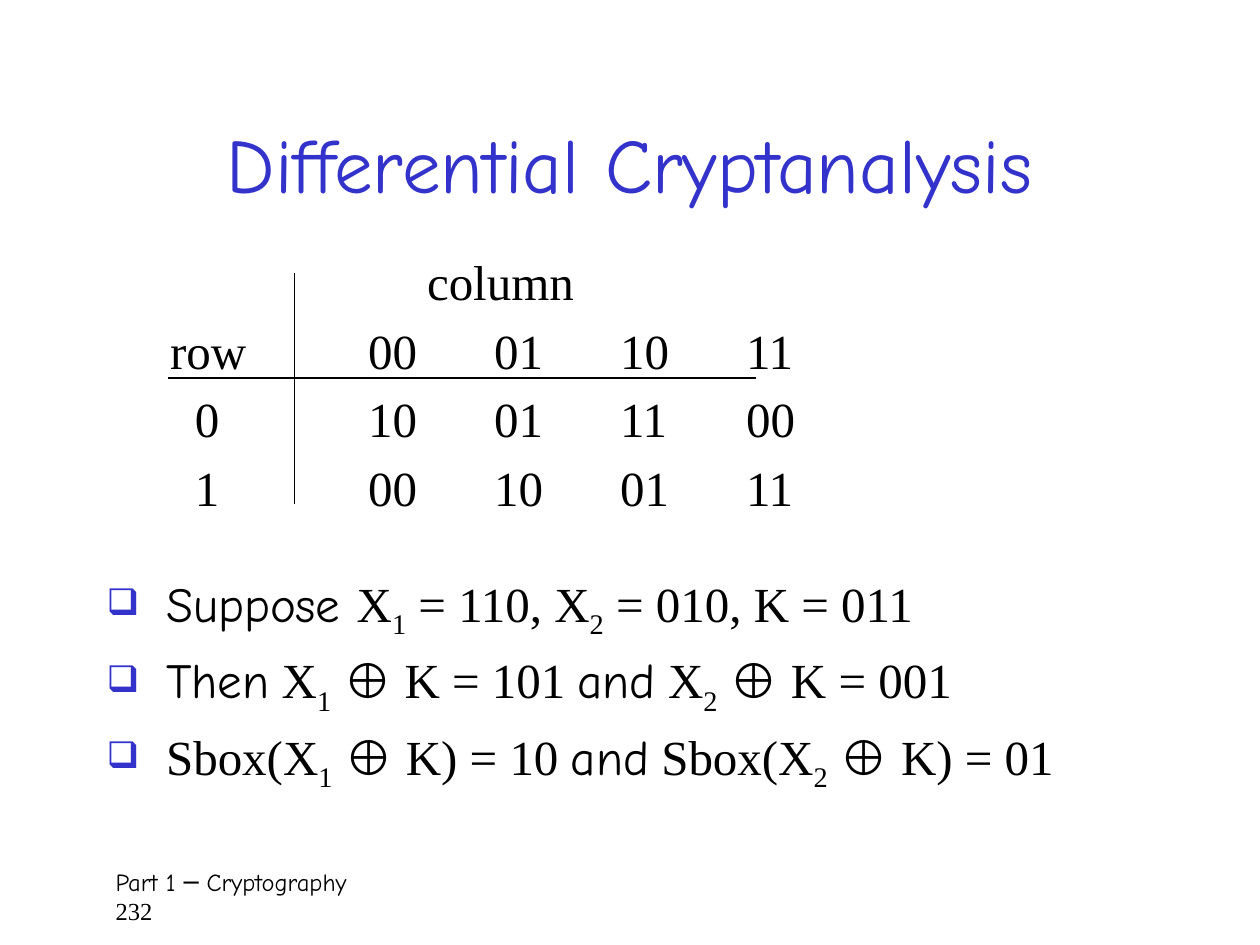
from lxml import etree
from pptx import Presentation, util as u
from pptx.enum import shapes, text
from pptx.dml.color import RGBColor
from pptx.oxml import ns

COLORS = {"ink": "000000", "accent": "3333CC"}
SERIF, HAND = "Times New Roman", "Comic Neue"
PLAIN_TABLE_STYLE = "{2D5ABB26-0587-4C30-8999-92F81FD0307C}"


def add_span(para, wording, font=SERIF, size=28, color="ink", baseline=0):
    span = para.add_run()
    span.text = wording
    span.font.name = font
    span.font.size = u.Pt(size)
    span.font.color.rgb = RGBColor.from_string(COLORS[color])
    if baseline:
        span.font._element.set("baseline", str(baseline * 1000))
    return span


def add_child(parent, tag, **attributes):
    return etree.SubElement(parent, ns.qn(tag), attributes)


class SlideWriter:
    """Holds the current slide and the shared paragraph style."""

    space_before = u.Pt(5.6)
    bullet_indent = u.Cm(1.2)

    def __init__(self, page):
        self.page = page

    def frame(self, left, top, width, height, anchor=text.MSO_ANCHOR.TOP):
        box = self.page.shapes.add_textbox(*map(u.Cm, (left, top, width, height)))
        box.text_frame.word_wrap = True
        box.text_frame.vertical_anchor = anchor
        return box.text_frame

    def title(self, wording, *place):
        para = self.frame(*place, anchor=text.MSO_ANCHOR.MIDDLE).paragraphs[0]
        para.alignment = text.PP_ALIGN.CENTER
        add_span(para, wording, font=HAND, size=44, color="accent")

    def lookup_table(self, rows, left, top, widths, row_height):
        """Draw (left margin of first filled cell, cells) rows without borders."""
        grid = self.page.shapes.add_table(
            len(rows), len(widths), u.Cm(left), u.Cm(top),
            u.Cm(sum(widths)), u.Cm(row_height * len(rows))).table
        grid.first_row = grid.horz_banding = False
        grid._tbl.tblPr.find(ns.qn("a:tableStyleId")).text = PLAIN_TABLE_STYLE
        for column, width in zip(grid.columns, widths):
            column.width = u.Cm(width)
        for r, (indent, wordings) in enumerate(rows):
            grid.rows[r].height = u.Cm(row_height)
            first = next(c for c, wording in enumerate(wordings) if wording)
            for c, wording in enumerate(wordings):
                cell = grid.cell(r, c)
                cell.fill.background()
                cell.margin_left = u.Cm(indent if c == first else 0)
                cell.margin_right = cell.margin_top = cell.margin_bottom = 0
                add_span(cell.text_frame.paragraphs[0], wording)
        return grid

    def bullets(self, items, *place):
        frame = self.frame(*place)
        for number, spans in enumerate(items):
            para = frame.add_paragraph() if number else frame.paragraphs[0]
            para.space_before = self.space_before
            props = para._p.get_or_add_pPr()
            props.set("marL", str(self.bullet_indent))
            props.set("indent", str(-self.bullet_indent))
            add_child(add_child(props, "a:buClr"), "a:srgbClr", val=COLORS["accent"])
            add_child(props, "a:buSzPct", val="75000")
            add_child(props, "a:buChar", char="❑")
            for wording, style in spans:
                add_span(para, wording, **style)

    def rule(self, *ends):
        line = self.page.shapes.add_connector(
            shapes.MSO_CONNECTOR.STRAIGHT, *map(u.Cm, ends))
        line.line.width = u.Pt(0.75)
        line.line.color.rgb = RGBColor.from_string(COLORS["ink"])
        add_child(line._element.spPr, "a:effectLst")

    def footer(self, label, number, *place):
        frame = self.frame(*place)
        frame.margin_left = u.Cm(0.43)
        add_span(frame.paragraphs[0], label, font=HAND, size=14)
        add_span(frame.add_paragraph(), number, size=14)


def main():
    deck = Presentation()
    deck.slide_width, deck.slide_height = u.Cm(25.4), u.Cm(19.05)
    writer = SlideWriter(deck.slides.add_slide(deck.slide_layouts[6]))

    writer.footer("Part 1 ─ Cryptography", "232", 1.9, 17.35, 21.8, 1.27)
    writer.title("Differential Cryptanalysis", 1.9, 1.7, 21.6, 3.18)

    sbox = writer.lookup_table([
        (1.19, ["", "column", "", "", ""]),
        (0, ["row", "00", "01", "10", "11"]),
        (0.5, ["0", "10", "01", "11", "00"]),
        (0.5, ["1", "00", "10", "01", "11"]),
    ], left=3.43, top=5.17, widths=[3.99] + [2.54] * 4, row_height=1.39)
    sbox.cell(0, 1).merge(sbox.cell(0, 4))
    writer.rule(5.93, 5.5, 5.93, 10.16)
    writer.rule(3.39, 7.62, 15.24, 7.62)

    serif, hand, sub = {}, {"font": HAND}, {"baseline": -25}
    writer.bullets([
        [("Suppose ", hand), ("X", serif), ("1", sub), (" = 110, X", serif),
         ("2", sub), (" = 010, K = 011", serif)],
        [("Then", hand), (" X", serif), ("1", sub), (" ⊕ K = 101 ", serif),
         ("and", hand), (" X", serif), ("2", sub), (" ⊕ K = 001", serif)],
        [("Sbox(X", serif), ("1", sub), (" ⊕ K) = 10 ", serif),
         ("and", hand), (" Sbox(X", serif), ("2", sub), (" ⊕ K) = 01", serif)],
    ], 1.9, 11.43, 21.6, 4.88)
    deck.save("out.pptx")


if __name__ == "__main__":
    main()
